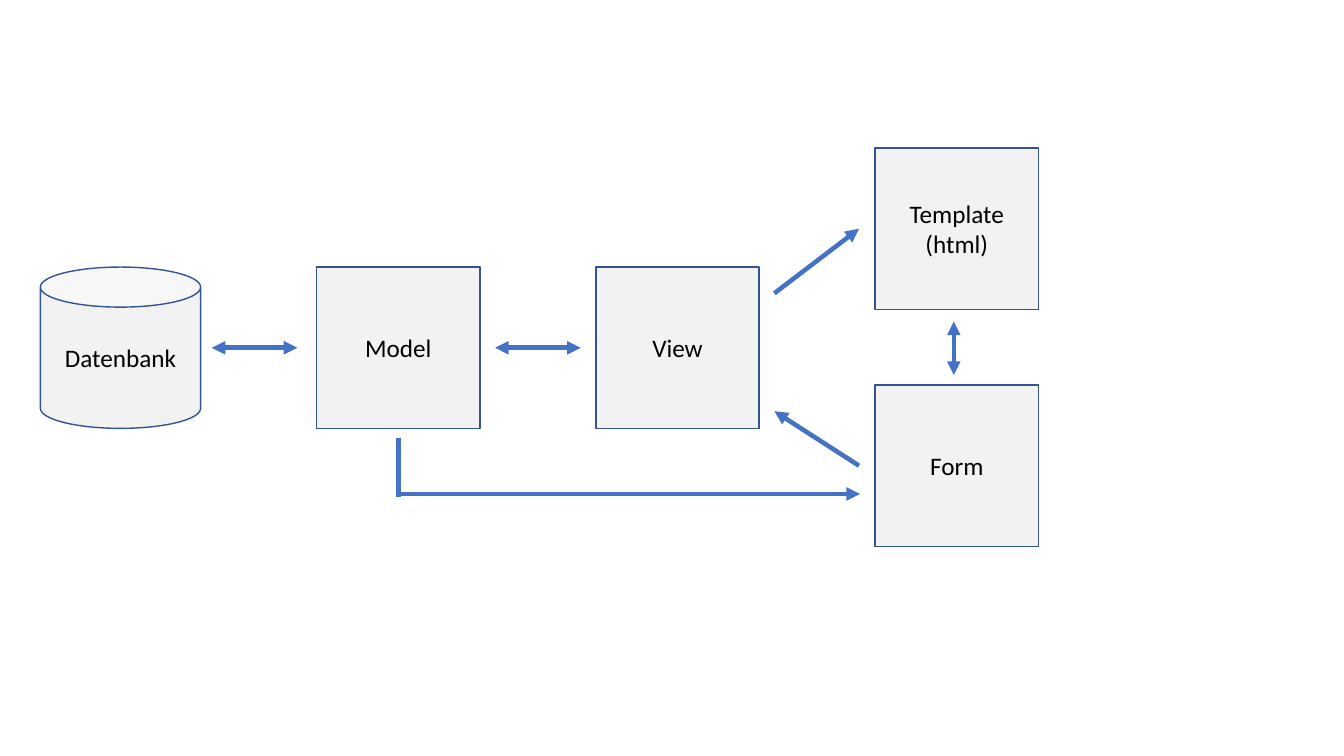
from dataclasses import dataclass

from lxml.etree import SubElement
from pptx import Presentation
from pptx.dml.color import RGBColor
from pptx.enum.shapes import MSO_CONNECTOR as Connector, MSO_SHAPE as Shape
from pptx.enum.text import MSO_ANCHOR as Anchor, PP_ALIGN as Align
from pptx.oxml.ns import qn
from pptx.slide import Slide
from pptx.util import Inches, Pt

COLORS = {"fill": "F2F2F2", "outline": "325491", "arrow": "4472C4", "text": "000000"}
BOX_WIDTH = 1.62
BOX_HEIGHT = 1.6
MODEL_LEFT = 3.14
COLUMN_STEP = 2.77
VIEW_LEFT = MODEL_LEFT + COLUMN_STEP
OUTPUT_LEFT = VIEW_LEFT + COLUMN_STEP
ROW_TOP = 2.65
ROW_MIDDLE = ROW_TOP + BOX_HEIGHT / 2
MODEL_CENTER = MODEL_LEFT + BOX_WIDTH / 2


@dataclass
class Component:
    label: str
    left: float
    top: float
    width: float = BOX_WIDTH
    outline: Shape = Shape.RECTANGLE


@dataclass
class Flow:
    start: tuple[float, float]
    end: tuple[float, float]
    ends: tuple[str, ...] = ("tailEnd",)


BOTH = ("headEnd", "tailEnd")

COMPONENTS = [
    Component("Datenbank", 0.4, ROW_TOP, 1.59, Shape.CAN),
    Component("Model", MODEL_LEFT, ROW_TOP),
    Component("View", VIEW_LEFT, ROW_TOP),
    Component("Template\n(html)", OUTPUT_LEFT, 1.47),
    Component("Form", OUTPUT_LEFT, 3.82),
]

FLOWS = [
    Flow((2.1, ROW_MIDDLE), (2.95, ROW_MIDDLE), BOTH),
    Flow((4.91, ROW_MIDDLE), (5.76, ROW_MIDDLE), BOTH),
    Flow((7.68, 2.91), (8.52, 2.27)),
    Flow((8.52, 4.62), (7.68, 4.08)),
    Flow((9.46, 3.19), (9.46, 3.72), BOTH),
    Flow((MODEL_CENTER, 4.9), (8.53, 4.9)),
    Flow((MODEL_CENTER, 4.93), (MODEL_CENTER, 4.35), ()),
]


def color(role: str) -> RGBColor:
    return RGBColor.from_string(COLORS[role])


def draw_component(slide: Slide, component: Component) -> None:
    box = slide.shapes.add_shape(
        component.outline,
        Inches(component.left), Inches(component.top),
        Inches(component.width), Inches(BOX_HEIGHT),
    )
    box.shadow.inherit = False
    box.fill.solid()
    box.fill.fore_color.rgb = color("fill")
    box.line.color.rgb = color("outline")
    box.line.width = Pt(1)
    label = box.text_frame
    label.text = component.label
    label.word_wrap = True
    label.vertical_anchor = Anchor.MIDDLE
    for paragraph in label.paragraphs:
        paragraph.alignment = Align.CENTER
        for run in paragraph.runs:
            run.font.name = "Calibri"
            run.font.size = Pt(18)
            run.font.color.rgb = color("text")


def draw_flow(slide: Slide, flow: Flow) -> None:
    arrow = slide.shapes.add_connector(
        Connector.STRAIGHT, *map(Inches, flow.start + flow.end)
    )
    arrow.line.color.rgb = color("arrow")
    arrow.line.width = Pt(3.25)
    stroke = arrow.line._get_or_add_ln()
    for end in flow.ends:
        SubElement(stroke, qn(f"a:{end}"), type="triangle")
    SubElement(arrow._element.spPr, qn("a:effectLst"))


def main() -> None:
    deck = Presentation()
    deck.slide_width = Inches(13.33)
    deck.slide_height = Inches(7.5)
    slide = deck.slides.add_slide(deck.slide_layouts[6])
    for component in COMPONENTS:
        draw_component(slide, component)
    for flow in FLOWS:
        draw_flow(slide, flow)
    deck.save("out.pptx")


if __name__ == "__main__":
    main()
